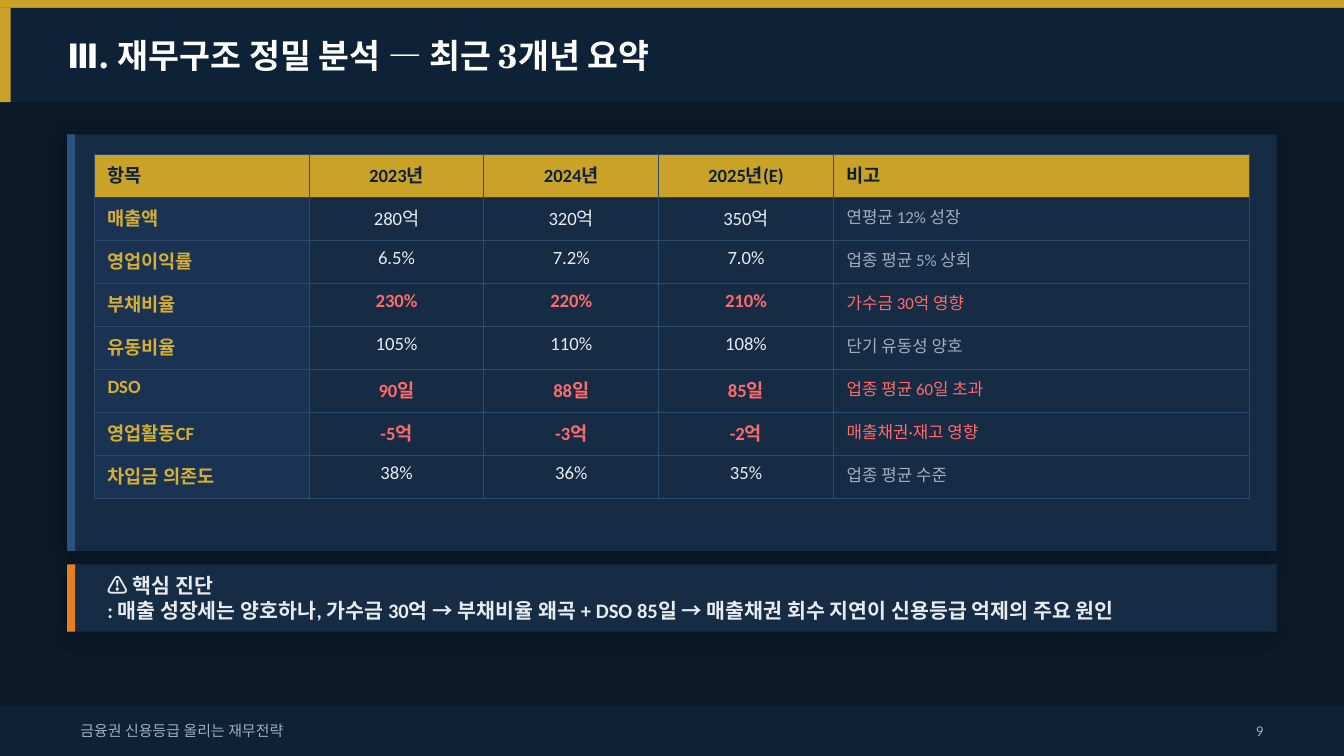
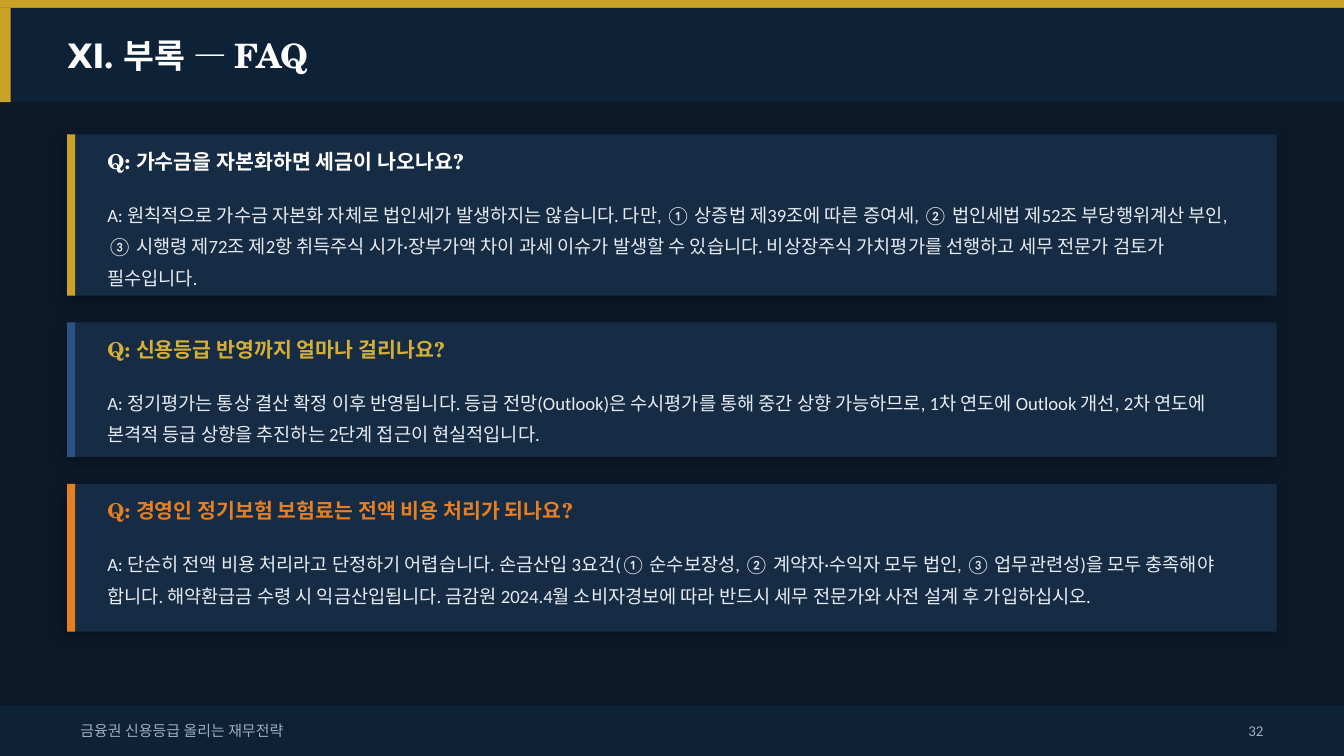
from dataclasses import dataclass
from typing import NamedTuple

from lxml import etree
from pptx import Presentation
from pptx import util as u
from pptx.dml import color
from pptx.enum import shapes, text
from pptx.oxml import ns

Pt = u.Pt
rgb = color.RGBColor.from_string
Align = text.PP_ALIGN
Anchor = text.MSO_ANCHOR


@dataclass(frozen=True)
class Theme:
    background: str = "0B1929"
    band: str = "0D2137"
    card: str = "162B44"
    label_fill: str = "1A3352"
    border: str = "2D4A6A"
    gold: str = "C9A227"
    light_gold: str = "D4AF37"
    blue: str = "2C5282"
    orange: str = "E67E22"
    red: str = "FF6B6B"
    white: str = "FFFFFF"
    body: str = "E8ECF1"
    muted: str = "A0AEC0"
    heading_font: str = "TeX Gyre Schola"
    body_font: str = "Calibri"
    title_size: float = 18
    lead_size: float = 11
    body_size: float = 10
    note_size: float = 9
    footer_size: float = 8


THEME = Theme()


class Box(NamedTuple):
    left: float
    top: float
    width: float
    height: float

    def inner(self, left, top, width, height):
        return Box(self.left + left, self.top + top, width, height)

    def lengths(self):
        return [Pt(value) for value in self]


PAGE = Box(0, 0, 720, 405)
HEADER = Box(0, 0, 720, 54.72)
FOOTER = Box(0, 378, 720, 27)
CONTENT = Box(36, 72, 648, 266.4)
STRIPE = 4.32
INDENT = 14.4
PADDING = 3.6


def set_values(target, values):
    for name, value in values.items():
        setattr(target, name, value)


def style(colour, size=THEME.body_size, bold=False, name=THEME.body_font):
    return {"colour": colour, "size": Pt(size), "bold": bold, "name": name}


def write(frame, lines, font_values, frame_values=None, paragraph_values=None):
    set_values(frame, {"word_wrap": True, **(frame_values or {})})
    values = dict(font_values)
    colour = values.pop("colour")
    for index, line in enumerate(lines):
        paragraph = frame.add_paragraph() if index else frame.paragraphs[0]
        set_values(paragraph, paragraph_values or {})
        run = paragraph.add_run()
        run.text = line
        set_values(run.font, values)
        run.font.color.rgb = rgb(colour)


def add_text(slide, box, lines, font_values, anchor=Anchor.MIDDLE, **paragraph_values):
    shape = slide.shapes.add_textbox(*box.lengths())
    write(shape.text_frame, lines, font_values, {"vertical_anchor": anchor}, paragraph_values)


def add_rectangle(slide, box, colour):
    shape = slide.shapes.add_shape(shapes.MSO_SHAPE.RECTANGLE, *box.lengths())
    shape.shadow.inherit = False
    shape.fill.solid()
    shape.fill.fore_color.rgb = rgb(colour)
    shape.line.fill.background()
    return shape


def add_card(slide, box, accent):
    card = add_rectangle(slide, box, THEME.card)
    effects = card.element.spPr.find(ns.qn("a:effectLst"))
    shadow = etree.SubElement(
        effects, ns.qn("a:outerShdw"), blurRad=str(Pt(8)), dist=str(Pt(3)),
        dir=str(135 * 60000), algn="bl", rotWithShape="0")
    black = etree.SubElement(shadow, ns.qn("a:srgbClr"), val="000000")
    etree.SubElement(black, ns.qn("a:alpha"), val="25000")
    add_rectangle(slide, box.inner(0, 0, STRIPE, box.height), accent)


def add_header(slide, box, title_text):
    band_height = box.height - STRIPE
    add_rectangle(slide, box.inner(0, 0, box.width, STRIPE), THEME.gold)
    add_rectangle(slide, box.inner(0, STRIPE, box.width, band_height), THEME.band)
    add_rectangle(slide, box.inner(0, STRIPE, 5.76, band_height), THEME.gold)
    title = slide.shapes.title
    title.element.getparent().append(title.element)
    place = box.inner(CONTENT.left, STRIPE, CONTENT.width, band_height)
    set_values(title, dict(zip(("left", "top", "width", "height"), place.lengths())))
    frame_values = dict.fromkeys(
        ("margin_left", "margin_top", "margin_right", "margin_bottom"), 0)
    frame_values |= {"vertical_anchor": Anchor.MIDDLE, "auto_size": text.MSO_AUTO_SIZE.NONE}
    write(title.text_frame, [title_text],
          style(THEME.white, THEME.title_size, True, THEME.heading_font),
          frame_values, {"alignment": Align.LEFT})


def add_footer(slide, box, number):
    add_rectangle(slide, box, THEME.band)
    font_values = style(THEME.muted, THEME.footer_size)
    add_text(slide, box.inner(36, 0, 504, box.height), ["금융권 신용등급 올리는 재무전략"], font_values)
    add_text(slide, box.inner(648, 0, 36, box.height), [str(number)], font_values,
             alignment=Align.RIGHT)


def add_page(presentation, title_text, number):
    slide = presentation.slides.add_slide(presentation.slide_layouts.get_by_name("Title Only"))
    slide.background.fill.solid()
    slide.background.fill.fore_color.rgb = rgb(THEME.background)
    add_header(slide, HEADER, title_text)
    add_footer(slide, FOOTER, number)
    return slide


FINANCE_HEADER = ("항목", "2023년", "2024년", "2025년(E)", "비고")
FINANCE_ROWS = [
    ("매출액", "280억", "320억", "350억", "연평균 12% 성장"),
    ("영업이익률", "6.5%", "7.2%", "7.0%", "업종 평균 5% 상회"),
    ("부채비율", "230%", "220%", "210%", "가수금 30억 영향"),
    ("유동비율", "105%", "110%", "108%", "단기 유동성 양호"),
    ("DSO", "90일", "88일", "85일", "업종 평균 60일 초과"),
    ("영업활동CF", "-5억", "-3억", "-2억", "매출채권·재고 영향"),
    ("차입금 의존도", "38%", "36%", "35%", "업종 평균 수준"),
]
WARNING_ITEMS = {"부채비율", "DSO", "영업활동CF"}
COLUMN_WIDTHS = (115.2, 93.6, 93.6, 93.6, 223.2)
ROW_HEIGHT = 23.04


def cell_look(row, column, warning):
    if row == 0:
        return THEME.gold, style(THEME.band, bold=True)
    if column == 0:
        return THEME.label_fill, style(THEME.light_gold, bold=True)
    if column == len(COLUMN_WIDTHS) - 1:
        return THEME.card, style(THEME.red if warning else THEME.muted, THEME.note_size)
    return THEME.card, style(THEME.red if warning else THEME.body, bold=warning)


def add_borders(cell):
    properties = cell._tc.get_or_add_tcPr()
    for index, side in enumerate(("lnL", "lnR", "lnT", "lnB")):
        line = etree.Element(ns.qn(f"a:{side}"), w=str(Pt(0.5)))
        fill = etree.SubElement(line, ns.qn("a:solidFill"))
        etree.SubElement(fill, ns.qn("a:srgbClr"), val=THEME.border)
        properties.insert(index, line)


def add_finance_table(slide, box):
    add_card(slide, box, THEME.blue)
    rows = [FINANCE_HEADER, *FINANCE_ROWS]
    place = box.inner(INDENT, 10.8, sum(COLUMN_WIDTHS), ROW_HEIGHT * len(rows))
    table = slide.shapes.add_table(len(rows), len(COLUMN_WIDTHS), *place.lengths()).table
    set_values(table, {"first_row": False, "horz_banding": False})
    for column, width in zip(table.columns, COLUMN_WIDTHS):
        column.width = Pt(width)
    for row_index, values in enumerate(rows):
        table.rows[row_index].height = Pt(ROW_HEIGHT)
        for column_index, value in enumerate(values):
            cell = table.cell(row_index, column_index)
            fill, font_values = cell_look(row_index, column_index, values[0] in WARNING_ITEMS)
            cell.fill.solid()
            cell.fill.fore_color.rgb = rgb(fill)
            add_borders(cell)
            alignment = Align.CENTER if 1 <= column_index <= 3 else Align.LEFT
            write(cell.text_frame, [value], font_values, paragraph_values={"alignment": alignment})


def add_diagnosis(slide, box):
    add_card(slide, box, THEME.orange)
    lines = [
        "⚠️ 핵심 진단",
        ": 매출 성장세는 양호하나, 가수금 30억 → 부채비율 왜곡 + DSO 85일 → "
        "매출채권 회수 지연이 신용등급 억제의 주요 원인",
    ]
    place = box.inner(INDENT, PADDING, box.width - 2 * INDENT, box.height - 2 * PADDING)
    add_text(slide, place, lines, style(THEME.body, THEME.lead_size, True))


FAQ_ITEMS = [
    (86.4, THEME.gold, THEME.white, "Q: 가수금을 자본화하면 세금이 나오나요?",
     "A: 원칙적으로 가수금 자본화 자체로 법인세가 발생하지는 않습니다. 다만, ① 상증법 제39조에 따른 증여세, "
     "② 법인세법 제52조 부당행위계산 부인, ③ 시행령 제72조 제2항 취득주식 시가·장부가액 차이 과세 이슈가 "
     "발생할 수 있습니다. 비상장주식 가치평가를 선행하고 세무 전문가 검토가 필수입니다."),
    (72, THEME.blue, THEME.light_gold, "Q: 신용등급 반영까지 얼마나 걸리나요?",
     "A: 정기평가는 통상 결산 확정 이후 반영됩니다. 등급 전망(Outlook)은 수시평가를 통해 중간 상향 가능하므로, "
     "1차 연도에 Outlook 개선, 2차 연도에 본격적 등급 상향을 추진하는 2단계 접근이 현실적입니다."),
    (79.2, THEME.orange, THEME.orange, "Q: 경영인 정기보험 보험료는 전액 비용 처리가 되나요?",
     "A: 단순히 전액 비용 처리라고 단정하기 어렵습니다. 손금산입 3요건(① 순수보장성, ② 계약자·수익자 모두 법인, "
     "③ 업무관련성)을 모두 충족해야 합니다. 해약환급금 수령 시 익금산입됩니다. 금감원 2024.4월 소비자경보에 따라 "
     "반드시 세무 전문가와 사전 설계 후 가입하십시오."),
]
FAQ_GAP = 14.4


def add_faq_card(slide, box, accent, question_colour, question, answer):
    add_card(slide, box, accent)
    width = box.width - 2 * INDENT
    add_text(slide, box.inner(INDENT, PADDING, width, 21.6), [question],
             style(question_colour, THEME.lead_size, True, THEME.heading_font))
    add_text(slide, box.inner(INDENT, 28.8, width, box.height - 36), [answer],
             style(THEME.body), Anchor.TOP, line_spacing=1.4)


def build_finance_slide(presentation, box):
    slide = add_page(presentation, "Ⅲ. 재무구조 정밀 분석 — 최근 3개년 요약", 9)
    add_finance_table(slide, box.inner(0, 0, box.width, 223.2))
    add_diagnosis(slide, box.inner(0, box.height - 36, box.width, 36))


def build_faq_slide(presentation, box):
    slide = add_page(presentation, "Ⅺ. 부록 — FAQ", 32)
    top = 0
    for height, *item in FAQ_ITEMS:
        add_faq_card(slide, box.inner(0, top, box.width, height), *item)
        top += height + FAQ_GAP


def main():
    presentation = Presentation()
    set_values(presentation, {"slide_width": Pt(PAGE.width), "slide_height": Pt(PAGE.height)})
    build_finance_slide(presentation, CONTENT)
    build_faq_slide(presentation, CONTENT)
    presentation.save("out.pptx")


if __name__ == "__main__":
    main()
